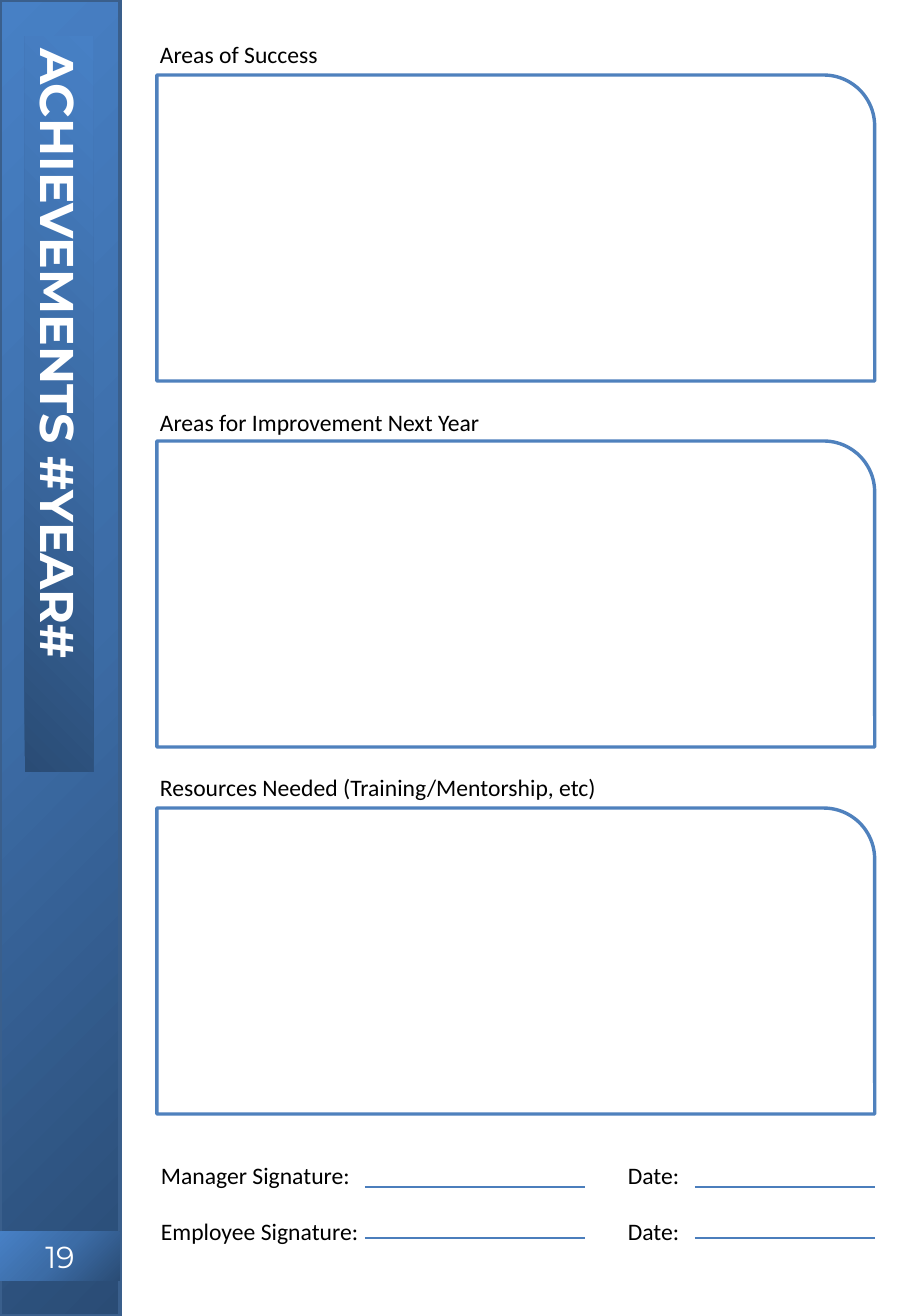
import copy
import pptx
import pptx.util
import pptx.dml.color
import pptx.enum.shapes
import pptx.enum.text
import pptx.oxml.ns
import lxml.etree

SHAPES = pptx.enum.shapes.MSO_SHAPE
ALIGN = pptx.enum.text.PP_ALIGN
ANCHOR = pptx.enum.text.MSO_ANCHOR
GRADIENT = ["2A4C75", "3C6CA6", "4780C5"]
LABEL_HEIGHT = 41


def px(length):
    return round(length * 914400 / 121.5)


def color(hex_code):
    return pptx.dml.color.RGBColor.from_string(hex_code)


def place(shape, box):
    shape.left, shape.top, shape.width, shape.height = map(px, box)


def set_line(shape, hex_code, points):
    shape.line.color.rgb = color(hex_code)
    shape.line.width = pptx.util.Pt(points)


def fill_gradient(shape):
    shape.fill.gradient()
    shape.fill.gradient_angle = 135
    first = shape.element.spPr.find(".//" + pptx.oxml.ns.qn("a:gs"))
    first.addnext(copy.deepcopy(first))
    for index, (stop, hex_code) in enumerate(zip(shape.fill.gradient_stops, GRADIENT)):
        stop.position = index / 2
        stop.color.rgb = color(hex_code)


def write(shape, text, size, font, hex_code, bold=False, align=ALIGN.LEFT, anchor=ANCHOR.TOP):
    frame = shape.text_frame
    frame.text = text
    frame.word_wrap = True
    frame.auto_size = pptx.enum.text.MSO_AUTO_SIZE.NONE
    frame.vertical_anchor = anchor
    para = frame.paragraphs[0]
    para.alignment = align
    span = para.runs[0]
    span.font.size = pptx.util.Pt(size)
    span.font.name = font
    span.font.bold = bold
    span.font.color.rgb = color(hex_code)


def add_box(page, kind, box):
    shape = page.shapes.add_shape(kind, *map(px, box))
    shape.shadow.inherit = False
    return shape


def add_label(page, text, box):
    label = page.shapes.add_textbox(*map(px, box))
    write(label, text, 14, "Calibri", "000000")


def add_rule(page, left, right, y):
    rule = page.shapes.add_connector(
        pptx.enum.shapes.MSO_CONNECTOR.STRAIGHT, px(left), px(y), px(right), px(y))
    set_line(rule, "4B7EBC", 0.75)
    lxml.etree.SubElement(rule.element.spPr, pptx.oxml.ns.qn("a:effectLst"))


def add_sidebar(page, box, heading, number):
    left, top, width, height = box
    band = add_box(page, SHAPES.RECTANGLE, box)
    fill_gradient(band)
    set_line(band, "3A5F8C", 2)

    badge = add_box(page, SHAPES.RECTANGLE, (left, top + 1232, width, 49))
    fill_gradient(badge)
    badge.line.fill.background()
    write(badge, number, 18, "Montserrat", "FFFFFF", align=ALIGN.CENTER, anchor=ANCHOR.MIDDLE)

    title = page.shapes.title
    length, thickness = 736, 69
    place(title, (left + 59 - length / 2, top + 404 - thickness / 2, length, thickness))
    title.rotation = 90
    fill_gradient(title)
    write(title, heading, 28, "Montserrat", "FFFFFF", bold=True, anchor=ANCHOR.MIDDLE)
    badge.element.addnext(title.element)


def add_section(page, box, heading, label_rise):
    left, top, width, height = box
    panel = add_box(page, SHAPES.ROUND_1_RECTANGLE, box)
    panel.fill.solid()
    panel.fill.fore_color.rgb = color("FFFFFF")
    set_line(panel, "4F81BD", 2)
    add_label(page, heading, (left - 9, top - label_rise, width + 18, LABEL_HEIGHT))


def add_signature(page, box, signer, rule_drop):
    left, top, width, height = box
    add_label(page, signer, (left, top, 250, height))
    add_label(page, "Date:", (left + 467, top, 114, height))
    add_rule(page, left + 216, left + 436, top + rule_drop)
    add_rule(page, left + 546, left + width, top + rule_drop)


def build_achievements(deck):
    page = deck.slides.add_slide(deck.slide_layouts[5])
    add_sidebar(page, (0, 0, 120, 1316), "ACHIEVEMENTS #YEAR#", "19")
    sections = [
        ("Areas of Success", 75, 41),
        ("Areas for Improvement Next Year", 441, 39),
        ("Resources Needed (Training/Mentorship, etc)", 808, 41),
    ]
    for heading, top, label_rise in sections:
        add_section(page, (157, top, 718, 306), heading, label_rise)
    signatures = [("Manager Signature:", 1155, 32), ("Employee Signature:", 1211, 27)]
    for signer, top, rule_drop in signatures:
        add_signature(page, (149, top, 726, LABEL_HEIGHT), signer, rule_drop)


deck = pptx.Presentation()
deck.slide_width = px(911.25)
deck.slide_height = px(1316)
build_achievements(deck)
deck.save("out.pptx")
